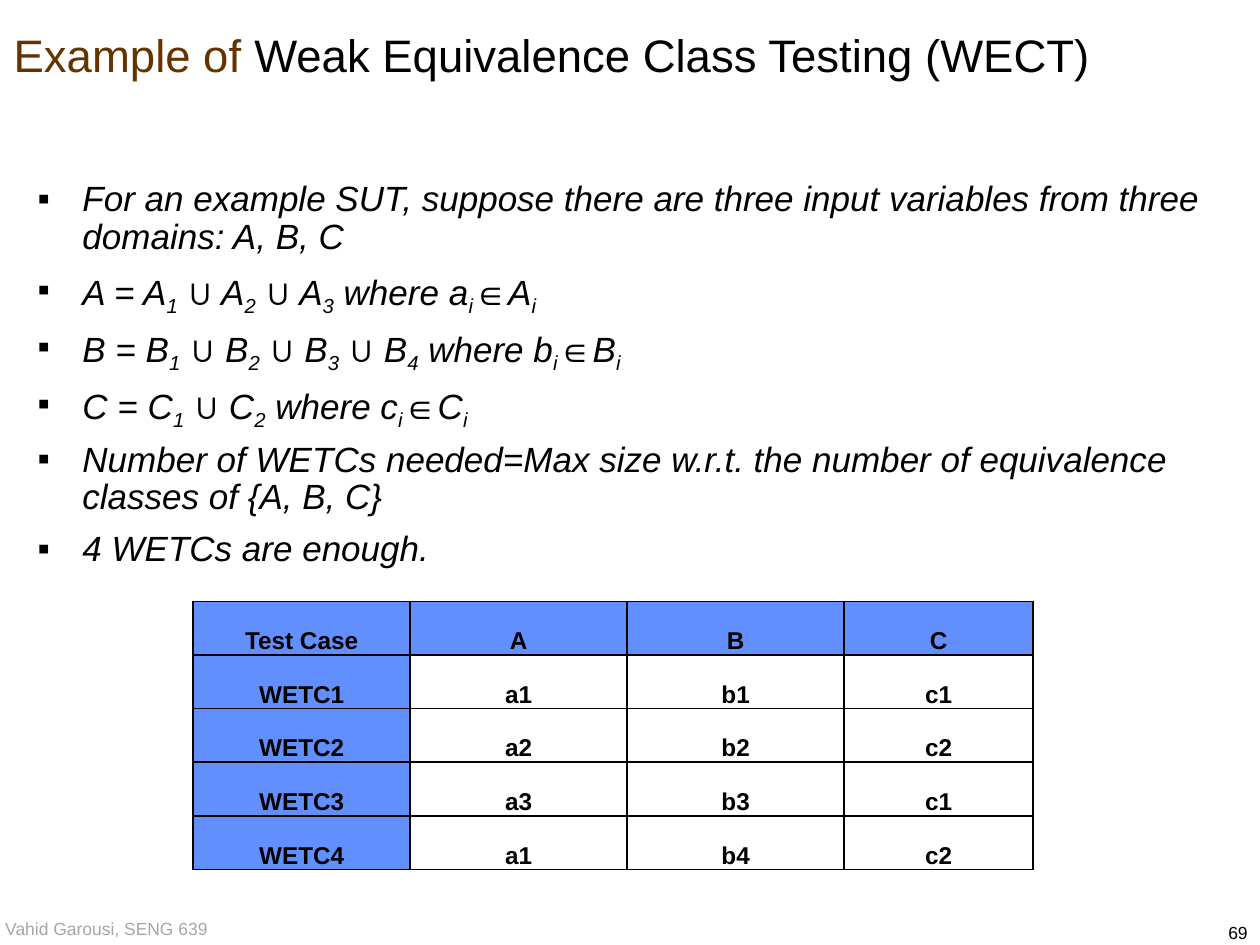
from lxml import etree
from pptx import Presentation
from pptx.dml.color import RGBColor
from pptx.enum.text import MSO_ANCHOR, PP_ALIGN
from pptx.oxml.ns import qn
from pptx.util import Pt

LEFT, CENTER, RIGHT = PP_ALIGN.LEFT, PP_ALIGN.CENTER, PP_ALIGN.RIGHT
TOP, MIDDLE = MSO_ANCHOR.TOP, MSO_ANCHOR.MIDDLE
FONT = "Arial"
COLORS = {"text": "000000", "accent": "663300", "footer": "A6A6A6", "header": "618FFD"}

# Content; every second piece between bars is a subscript
TITLE = [("Example of ", "accent"), ("Weak Equivalence Class Testing (WECT)", "text")]
BULLETS = [
    "For an example SUT, suppose there are three input variables from three domains: A, B, C",
    "A = A|1| ∪ A|2| ∪ A|3| where a|i|∈A|i",
    "B = B|1| ∪ B|2| ∪ B|3| ∪ B|4| where b|i|∈B|i",
    "C = C|1| ∪ C|2| where c|i|∈C|i",
    "Number of WETCs needed=Max size w.r.t. the number of equivalence classes of {A, B, C}",
    "4 WETCs are enough.",
]
TEST_CASES = [
    ("Test Case", "A", "B", "C"),
    ("WETC1", "a1", "b1", "c1"),
    ("WETC2", "a2", "b2", "c2"),
    ("WETC3", "a3", "b3", "c1"),
    ("WETC4", "a1", "b4", "c2"),
]
COLUMN_WIDTHS = (124, 124, 124, 108)
ROW_HEIGHT = 30.67


def add_box(left, top, width, height, anchor=TOP):
    box = slide.shapes.add_textbox(Pt(left), Pt(top), Pt(width), Pt(height))
    frame = box.text_frame
    frame.word_wrap = True
    frame.vertical_anchor = anchor
    return frame


def add_span(para, text, size, color="text", bold=False, italic=False, subscript=False):
    span = para.add_run()
    span.text = text
    font = span.font
    font.name, font.size, font.bold, font.italic = FONT, Pt(size), bold, italic
    font.color.rgb = RGBColor.from_string(COLORS[color])
    if subscript:
        span._r.get_or_add_rPr().set("baseline", "-25000")


def add_bullet(para, indent):
    properties = para._p.get_or_add_pPr()
    properties.set("marL", str(Pt(indent)))
    properties.set("indent", str(-Pt(indent)))
    color = etree.SubElement(properties, qn("a:buClr"))
    etree.SubElement(color, qn("a:srgbClr"), val=COLORS["text"])
    etree.SubElement(properties, qn("a:buFont"), typeface=FONT)
    etree.SubElement(properties, qn("a:buChar"), char="▪")


def add_borders(cell):
    properties = cell._tc.get_or_add_tcPr()
    for position, side in enumerate(("a:lnL", "a:lnR", "a:lnT", "a:lnB")):
        line = etree.Element(qn(side), w=str(Pt(1)))
        fill = etree.SubElement(line, qn("a:solidFill"))
        etree.SubElement(fill, qn("a:srgbClr"), val=COLORS["text"])
        properties.insert(position, line)


deck = Presentation()
deck.slide_width, deck.slide_height = Pt(720), Pt(540)
slide = deck.slides.add_slide(deck.slide_layouts[6])

# Footer and page number
frame = add_box(0, 521.5, 139, 23 - 4.5, MIDDLE)
frame.margin_left = Pt(3)
frame.margin_top = frame.margin_bottom = Pt(0)
add_span(frame.paragraphs[0], "Vahid Garousi, SENG 639", 10, "footer")
para = add_box(630, 523.44, 90, 19.44).paragraphs[0]
para.alignment = RIGHT
add_span(para, "69", 10)

# Title
para = add_box(0.72, 1.2, 719.28, 53.28, MIDDLE).paragraphs[0]
para.line_spacing = 1.2
for text, color in TITLE:
    add_span(para, text, 26, color)

# Test case table
grid = slide.shapes.add_table(
    len(TEST_CASES), len(COLUMN_WIDTHS), Pt(110.4), Pt(343.6),
    Pt(sum(COLUMN_WIDTHS)), Pt(ROW_HEIGHT * len(TEST_CASES))).table
for column, width in zip(grid.columns, COLUMN_WIDTHS):
    column.width = Pt(width)
for row_index, values in enumerate(TEST_CASES):
    grid.rows[row_index].height = Pt(ROW_HEIGHT)
    for column_index, value in enumerate(values):
        cell = grid.cell(row_index, column_index)
        cell.margin_left = cell.margin_right = Pt(5)
        cell.margin_top = cell.margin_bottom = Pt(0)
        if row_index == 0 or column_index == 0:
            cell.fill.solid()
            cell.fill.fore_color.rgb = RGBColor.from_string(COLORS["header"])
        else:
            cell.fill.background()
        add_borders(cell)
        para = cell.text_frame.paragraphs[0]
        para.alignment = CENTER
        para.line_spacing = Pt(30.5)
        add_span(para, value, 24, bold=True, subscript=True)

# Bulleted explanation
frame = add_box(14.4, 100, 686, 228)
for index, bullet in enumerate(BULLETS):
    para = frame.add_paragraph() if index else frame.paragraphs[0]
    add_bullet(para, 25.6)
    para.alignment = LEFT
    para.line_spacing = 0.9
    if index:
        para.space_before = Pt(8)
    for part, text in enumerate(bullet.split("|")):
        add_span(para, text, 20, italic=True, subscript=part % 2 == 1)

deck.save("out.pptx")
